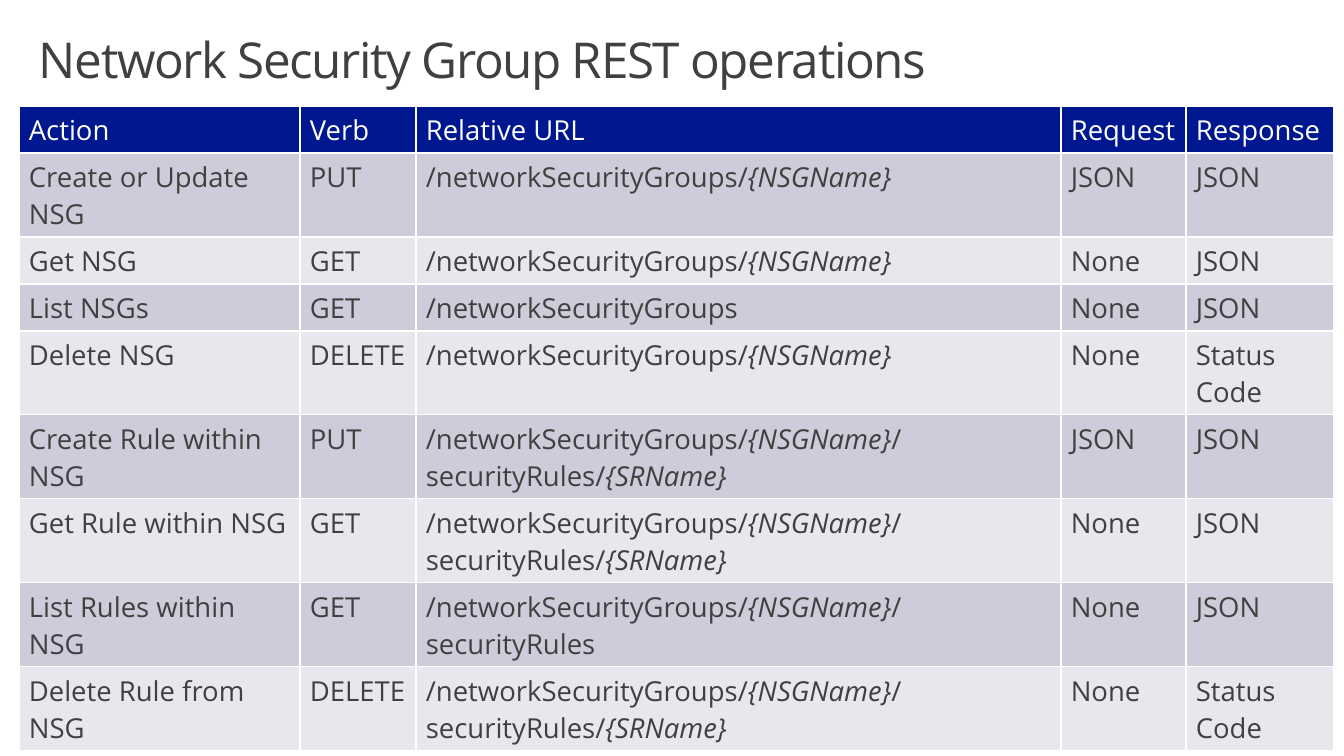
"""Build the slide listing the REST operations of a network security group."""
from typing import NamedTuple

from pptx import Presentation
from pptx.dml.color import RGBColor
from pptx.enum.text import MSO_ANCHOR, PP_ALIGN
from pptx.util import Emu, Pt

TOP = MSO_ANCHOR.TOP
LEFT = PP_ALIGN.LEFT
EMU_PER_PIXEL = 914400 / 98.8
FONT = "Open Sans"
COLORS = {
    "ink": "404040",
    "white": "FFFFFF",
    "header": "00188F",
    "odd": "CCCCDB",
    "even": "E7E8EE",
}
ONE_LINE, TWO_LINES = 47, 84


class Operation(NamedTuple):
    action: str
    verb: str
    url: tuple[str, ...]
    request: str
    response: str


class ColumnWidths(NamedTuple):
    action: int
    verb: int
    url: int
    request: int
    response: int


GROUPS, RULES = "/networkSecurityGroups", "/securityRules"
ONE_GROUP = (f"{GROUPS}/", "{NSGName}")
ONE_RULE = (*ONE_GROUP, f"{RULES}/", "{SRName}")
HEADINGS = Operation("Action", "Verb", ("Relative URL",), "Request", "Response")
OPERATIONS = [
    Operation("Create or Update NSG", "PUT", ONE_GROUP, "JSON", "JSON"),
    Operation("Get NSG", "GET", ONE_GROUP, "None", "JSON"),
    Operation("List NSGs", "GET", (GROUPS,), "None", "JSON"),
    Operation("Delete NSG", "DELETE", ONE_GROUP, "None", "Status Code"),
    Operation("Create Rule within NSG", "PUT", ONE_RULE, "JSON", "JSON"),
    Operation("Get Rule within NSG", "GET", ONE_RULE, "None", "JSON"),
    Operation("List Rules within NSG", "GET", (*ONE_GROUP, RULES), "None", "JSON"),
    Operation("Delete Rule from NSG", "DELETE", ONE_RULE, "None", "Status Code"),
]
COLUMN_WIDTHS = ColumnWidths(281, 116, 645, 125, 148)
ROW_HEIGHTS = [ONE_LINE, TWO_LINES, ONE_LINE, ONE_LINE] + [TWO_LINES] * 5


def px(pixels: int) -> Emu:
    """Turn pixels into EMU."""
    return Emu(round(pixels * EMU_PER_PIXEL))


def write(paragraph, parts: tuple[str, ...], size: int, color: str) -> None:
    """Write the parts as runs, with {placeholders} in italics."""
    paragraph.alignment = LEFT
    for part in parts:
        run = paragraph.add_run()
        run.text = part
        run.font.name = FONT
        run.font.size = Pt(size)
        run.font.bold = False
        run.font.italic = part.startswith("{")
        run.font.color.rgb = RGBColor.from_string(COLORS[color])


def fill_row(cells, operation: Operation, fill: str, color: str) -> None:
    """Fill one table row with an operation."""
    for cell, content in zip(cells, operation):
        cell.fill.solid()
        cell.fill.fore_color.rgb = RGBColor.from_string(COLORS[fill])
        parts = (content,) if isinstance(content, str) else content
        write(cell.text_frame.paragraphs[0], parts, 20, color)


def add_title(slide, title: str) -> None:
    """Add the slide title."""
    frame = slide.shapes.add_textbox(px(19), px(20), px(1284), px(99)).text_frame
    frame.word_wrap = True
    frame.vertical_anchor = TOP
    frame.margin_left = frame.margin_right = px(20)
    frame.margin_top = frame.margin_bottom = px(16)
    paragraph = frame.paragraphs[0]
    paragraph.line_spacing = 0.9
    write(paragraph, (title,), 36, "ink")
    paragraph.runs[0].font._element.set("spc", "-100")


def add_operations(slide) -> None:
    """Add the table of operations."""
    table = slide.shapes.add_table(
        len(ROW_HEIGHTS), len(COLUMN_WIDTHS), px(19), px(106),
        px(sum(COLUMN_WIDTHS)), px(sum(ROW_HEIGHTS)),
    ).table
    for column, width in zip(table.columns, COLUMN_WIDTHS):
        column.width = px(width)
    for row, height in zip(table.rows, ROW_HEIGHTS):
        row.height = px(height)
    header, *body = table.rows
    fill_row(header.cells, HEADINGS, "header", "white")
    for index, (row, operation) in enumerate(zip(body, OPERATIONS)):
        fill_row(row.cells, operation, "even" if index % 2 else "odd", "ink")


def main() -> None:
    """Build and save the presentation."""
    deck = Presentation()
    deck.slide_width, deck.slide_height = px(1344), px(756)
    slide = deck.slides.add_slide(deck.slide_layouts[6])
    add_title(slide, "Network Security Group REST operations")
    add_operations(slide)
    deck.save("out.pptx")


main()
